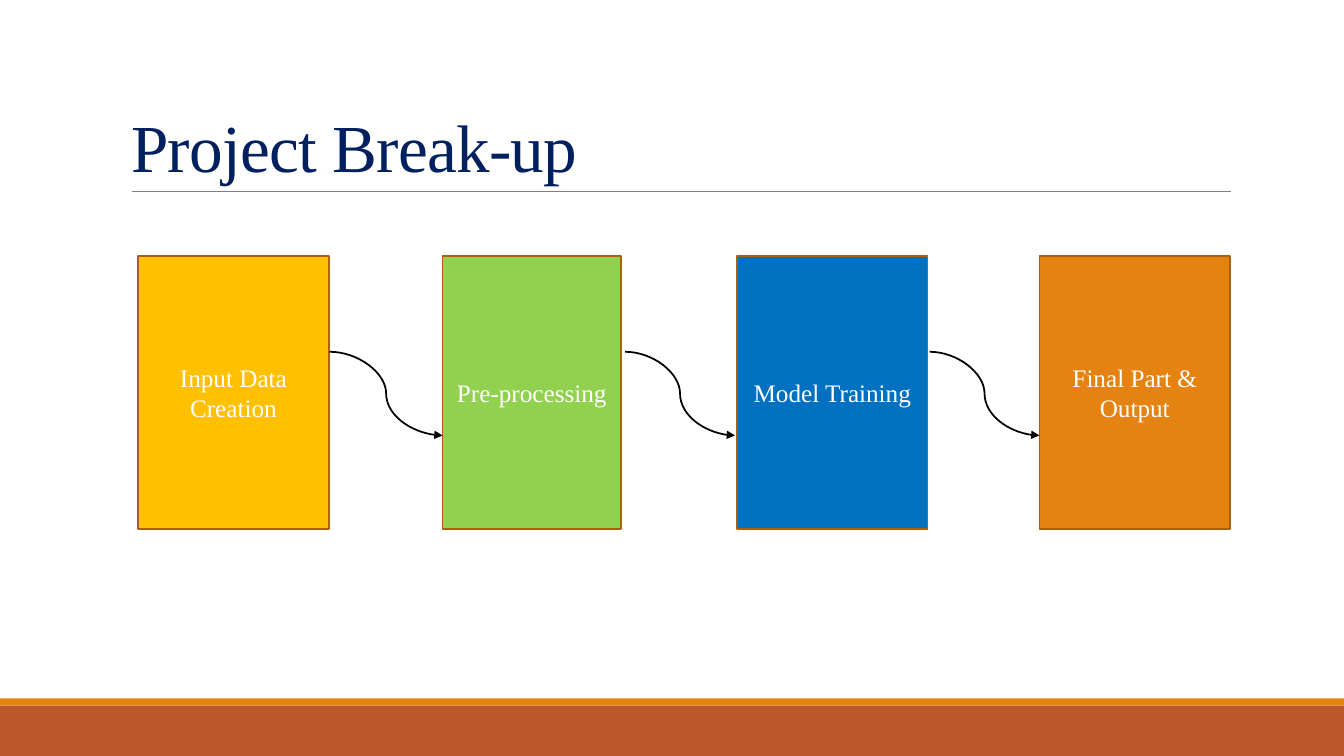
from pptx import Presentation
from pptx.dml.color import RGBColor
from pptx.enum.shapes import MSO_CONNECTOR, MSO_SHAPE
from pptx.enum.text import MSO_ANCHOR, MSO_AUTO_SIZE, PP_ALIGN
from pptx.oxml.ns import qn
from pptx.util import Inches, Pt
from lxml import etree

RECT = MSO_SHAPE.RECTANGLE
LINE, CURVE = MSO_CONNECTOR.STRAIGHT, MSO_CONNECTOR.CURVE
LEFT, CENTER = PP_ALIGN.LEFT, PP_ALIGN.CENTER
MIDDLE, BOTTOM = MSO_ANCHOR.MIDDLE, MSO_ANCHOR.BOTTOM
FIXED = MSO_AUTO_SIZE.NONE

STEPS = [
    ("Input Data Creation", 1.37, 1.89, "FFC000"),
    ("Pre-processing", 4.39, 1.77, "92D050"),
    ("Model Training", 7.31, 1.89, "0070C0"),
    ("Final Part &\nOutput", 10.31, 1.89, "E48312"),
]
CURVES = [(3.27, 4.39), (6.2, 7.29), (9.22, 10.31)]


def paint(target, color):
    """Set a fill, line or font to a hex colour."""
    if hasattr(target, "solid"):
        target.solid()
        target.fore_color.rgb = RGBColor.from_string(color)
    else:
        target.color.rgb = RGBColor.from_string(color)


def write(frame, text, size=18, color="FFFFFF", face="Times New Roman",
          align=CENTER, anchor=MIDDLE, space=1.0, track=0):
    """Fill a text frame, one paragraph for each line of text."""
    frame.word_wrap = True
    frame.auto_size = FIXED
    frame.vertical_anchor = anchor
    for i, part in enumerate(text.split("\n")):
        para = frame.paragraphs[0] if i == 0 else frame.add_paragraph()
        para.alignment = align
        para.line_spacing = space
        run = para.add_run()
        run.text = part
        run.font.size = Pt(size)
        run.font.name = face
        paint(run.font, color)
        if track:
            run.font._element.set("spc", str(int(track * 100)))


class Deck:
    """Hold the style and the current slide."""

    edge = "A9610D"
    weight = 1.25

    def __init__(self):
        """Open a wide deck with one title slide."""
        self.file = Presentation()
        self.file.slide_width = Inches(13.33)
        self.file.slide_height = Inches(7.5)
        self.slide = self.file.slides.add_slide(self.file.slide_layouts[5])

    def title(self, text, x, y, w, h):
        """Place and write the title."""
        head = self.slide.shapes.title
        head.left, head.top = Inches(x), Inches(y)
        head.width, head.height = Inches(w), Inches(h)
        write(head.text_frame, text, size=48, color="002060", align=LEFT,
              anchor=BOTTOM, space=0.85, track=-0.5)

    def box(self, x, y, w, h, fill, text="", edge=None):
        """Draw a filled rectangle with an optional edge and label."""
        box = self.slide.shapes.add_shape(
            RECT, Inches(x), Inches(y), Inches(w), Inches(h))
        box.shadow.inherit = False
        paint(box.fill, fill)
        if edge:
            paint(box.line, edge)
            box.line.width = Pt(self.weight)
        else:
            box.line.fill.background()
        if text:
            write(box.text_frame, text)

    def link(self, start, end, kind=LINE, color="000000", width=1.25,
             arrow=False):
        """Draw a connector, with an arrowhead if asked."""
        link = self.slide.shapes.add_connector(
            kind, *(Inches(v) for v in start + end))
        paint(link.line, color)
        link.line.width = Pt(width)
        if arrow:
            tail = etree.SubElement(link.line._get_or_add_ln(), qn("a:tailEnd"))
            tail.set("type", "triangle")
        etree.SubElement(link._element.spPr, qn("a:effectLst"))


def main():
    """Build and save the slide."""
    deck = Deck()
    deck.box(0, 7, 13.33, 0.5, "BD582C")
    deck.box(0, 6.93, 13.33, 0.07, "E48312")
    deck.link((1.31, 1.9), (12.21, 1.9), color="808080", width=0.5)
    deck.title("Project Break-up", 1.2, 0.31, 11, 1.59)
    for text, x, wide, fill in STEPS:
        deck.box(x, 2.54, wide, 2.71, fill, text, deck.edge)
    for x1, x2 in CURVES:
        deck.link((x1, 3.49), (x2, 4.32), CURVE, arrow=True)
    deck.file.save("out.pptx")


if __name__ == "__main__":
    main()
